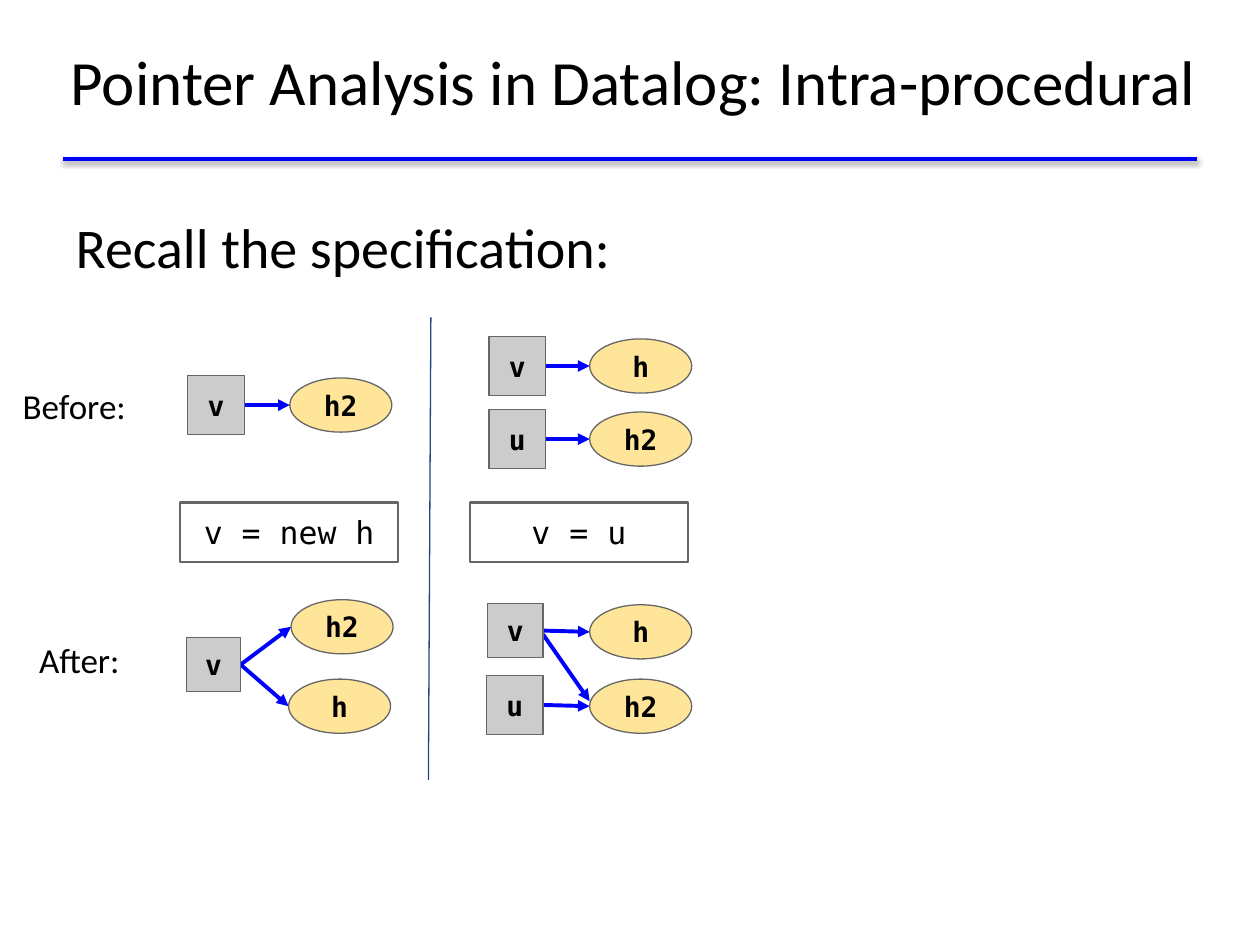
from lxml import etree
from pptx import Presentation
from pptx.dml.color import RGBColor
from pptx.enum.shapes import MSO_CONNECTOR, MSO_SHAPE
from pptx.enum.text import MSO_ANCHOR, MSO_AUTO_SIZE, PP_ALIGN
from pptx.oxml import parse_xml
from pptx.oxml.ns import nsdecls, qn
from pptx.util import Inches, Pt

BLACK = RGBColor(0x00, 0x00, 0x00)
WHITE = RGBColor(0xFF, 0xFF, 0xFF)
BLUE = RGBColor(0x00, 0x00, 0xFF)
NAVY = RGBColor(0x1F, 0x49, 0x7D)
LIGHT_GRAY = RGBColor(0xCC, 0xCC, 0xCC)
DARK_GRAY = RGBColor(0x66, 0x66, 0x66)
SAND = RGBColor(0xFF, 0xE5, 0x99)

TEXT_FONT = "Calibri"
CODE_FONT = "DejaVu Sans Mono"
HEAP_WIDTH, HEAP_HEIGHT = 0.81, 0.43

# Each graph: variables (name, left, top, width, height), heap objects
# (name, left, top), edges (variable index, heap index, start shift, end shift)
GRAPHS = [
    ([("v", 1.49, 2.98, 0.45, 0.47)], [("h2", 2.3, 3.0)], [(0, 0, 0, 0)]),
    ([("v", 1.48, 5.06, 0.43, 0.43)],
     [("h2", 2.31, 4.76), ("h", 2.29, 5.39)],
     [(0, 0, 0, 0), (0, 1, 0, 0)]),
    ([("v", 3.88, 2.67, 0.45, 0.47), ("u", 3.88, 3.25, 0.45, 0.47)],
     [("h", 4.68, 2.69), ("h2", 4.68, 3.27)],
     [(0, 0, 0, 0), (1, 1, 0, 0)]),
    ([("v", 3.87, 4.79, 0.44, 0.43), ("u", 3.86, 5.36, 0.45, 0.47)],
     [("h", 4.68, 4.8), ("h2", 4.68, 5.39)],
     [(0, 0, 0, 0), (1, 1, 0, 0), (0, 1, 0.03, -0.04)]),
]
STATEMENTS = [("v = new h", 1.43), ("v = u", 3.73)]
LABELS = [("Before:", 0.01, 2.95, 1.16, 0.65), ("After:", 0, 4.97, 1.26, 0.71)]


def write_text(shape, text, size, font=TEXT_FONT, bold=False,
               align=PP_ALIGN.CENTER, anchor=MSO_ANCHOR.MIDDLE, margin=0.1):
    frame = shape.text_frame
    frame.word_wrap = True
    frame.auto_size = MSO_AUTO_SIZE.NONE
    frame.vertical_anchor = anchor
    frame.margin_left = frame.margin_right = Inches(0.1)
    frame.margin_top = frame.margin_bottom = Inches(margin)
    paragraph = frame.paragraphs[0]
    paragraph.alignment = align
    paragraph.space_before = Pt(0)
    run = paragraph.add_run()
    run.text = text
    run.font.name = font
    run.font.size = Pt(size)
    run.font.bold = bold
    run.font.color.rgb = BLACK
    return paragraph


def place(shape, left, top, width, height):
    shape.left, shape.top = Inches(left), Inches(top)
    shape.width, shape.height = Inches(width), Inches(height)


def add_box(slide, kind, text, bounds, fill, line_width=0.75, size=16, bold=True):
    shape = slide.shapes.add_shape(kind, *map(Inches, bounds))
    shape.shadow.inherit = False
    shape.fill.solid()
    shape.fill.fore_color.rgb = fill
    shape.line.color.rgb = DARK_GRAY
    shape.line.width = Pt(line_width)
    write_text(shape, text, size, CODE_FONT, bold)


def add_line(slide, start, end, color, width, arrow=False):
    line = slide.shapes.add_connector(
        MSO_CONNECTOR.STRAIGHT, *map(Inches, (*start, *end)))
    line.line.color.rgb = color
    line.line.width = Pt(width)
    if arrow:
        outline = line.line._get_or_add_ln()
        etree.SubElement(outline, qn("a:tailEnd"), type="triangle")
    effects = etree.SubElement(line._element.spPr, qn("a:effectLst"))
    return effects


def add_title_rule(slide):
    effects = add_line(slide, (0.5, 1.26), (9.5, 1.26), BLUE, 2)
    effects.append(parse_xml(
        f'<a:outerShdw {nsdecls("a")} blurRad="{Pt(3.1)}" dist="{Pt(1.6)}" '
        'dir="5400000" rotWithShape="0"><a:srgbClr val="000000">'
        '<a:alpha val="38000"/></a:srgbClr></a:outerShdw>'))


def add_graph(slide, variables, heaps, edges):
    for variable_index, heap_index, start_shift, end_shift in edges:
        _, left, top, width, height = variables[variable_index]
        _, heap_left, heap_top = heaps[heap_index]
        start = (left + width, top + height / 2 + start_shift)
        end = (heap_left, heap_top + HEAP_HEIGHT / 2 + end_shift)
        add_line(slide, start, end, BLUE, 2.25, arrow=True)
    for name, *bounds in variables:
        add_box(slide, MSO_SHAPE.RECTANGLE, name, bounds, LIGHT_GRAY)
    for name, left, top in heaps:
        bounds = (left, top, HEAP_WIDTH, HEAP_HEIGHT)
        add_box(slide, MSO_SHAPE.OVAL, name, bounds, SAND)


def add_label(slide, text, *bounds):
    label = slide.shapes.add_textbox(*map(Inches, bounds))
    write_text(label, text, 20, anchor=MSO_ANCHOR.TOP)


def fill_placeholders(slide):
    title, body = slide.shapes.title, slide.placeholders[1]
    place(title, 0.4, 0.01, 9.25, 1.25)
    write_text(title, "Pointer Analysis in Datalog: Intra-procedural", 36)
    place(body, 0.5, 1.64, 4.89, 0.72)
    paragraph = write_text(body, "Recall the specification:", 32,
                           align=PP_ALIGN.LEFT, anchor=MSO_ANCHOR.TOP, margin=0.05)
    # Hanging indent without a bullet
    properties = paragraph._p.get_or_add_pPr()
    properties.set("marL", str(Inches(0.37)))
    properties.set("indent", str(-Inches(0.37)))
    etree.SubElement(properties, qn("a:buNone"))


def main():
    presentation = Presentation()
    presentation.slide_width = Inches(10)
    presentation.slide_height = Inches(7.5)
    slide = presentation.slides.add_slide(presentation.slide_layouts[1])

    # Heading
    fill_placeholders(slide)
    add_title_rule(slide)

    # Points-to graphs before and after each statement
    for graph in GRAPHS:
        add_graph(slide, *graph)
    for code, left in STATEMENTS:
        add_box(slide, MSO_SHAPE.RECTANGLE, code, (left, 3.99, 1.73, 0.47),
                WHITE, line_width=1.5, size=18, bold=False)

    # Column divider and row labels
    add_line(slide, (3.42, 2.52), (3.4, 6.19), NAVY, 0.75)
    for label in LABELS:
        add_label(slide, *label)

    presentation.save("out.pptx")


main()
